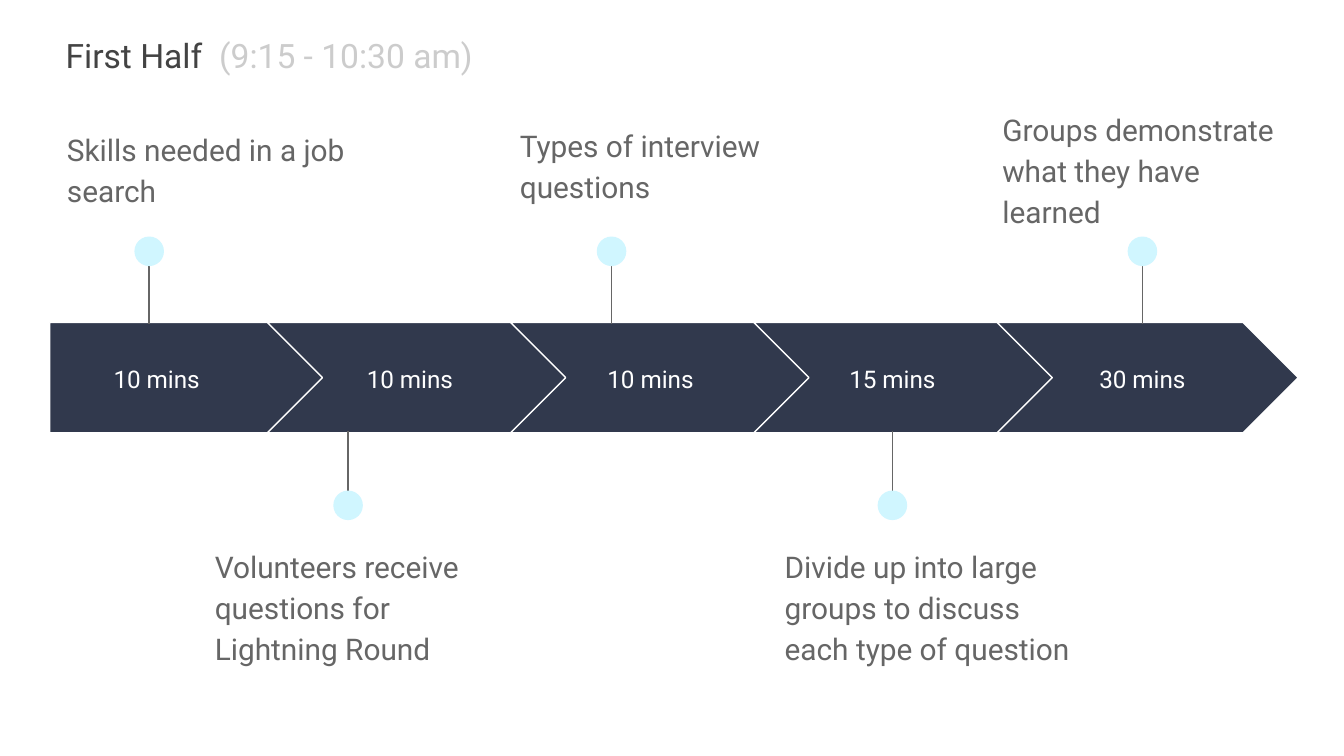
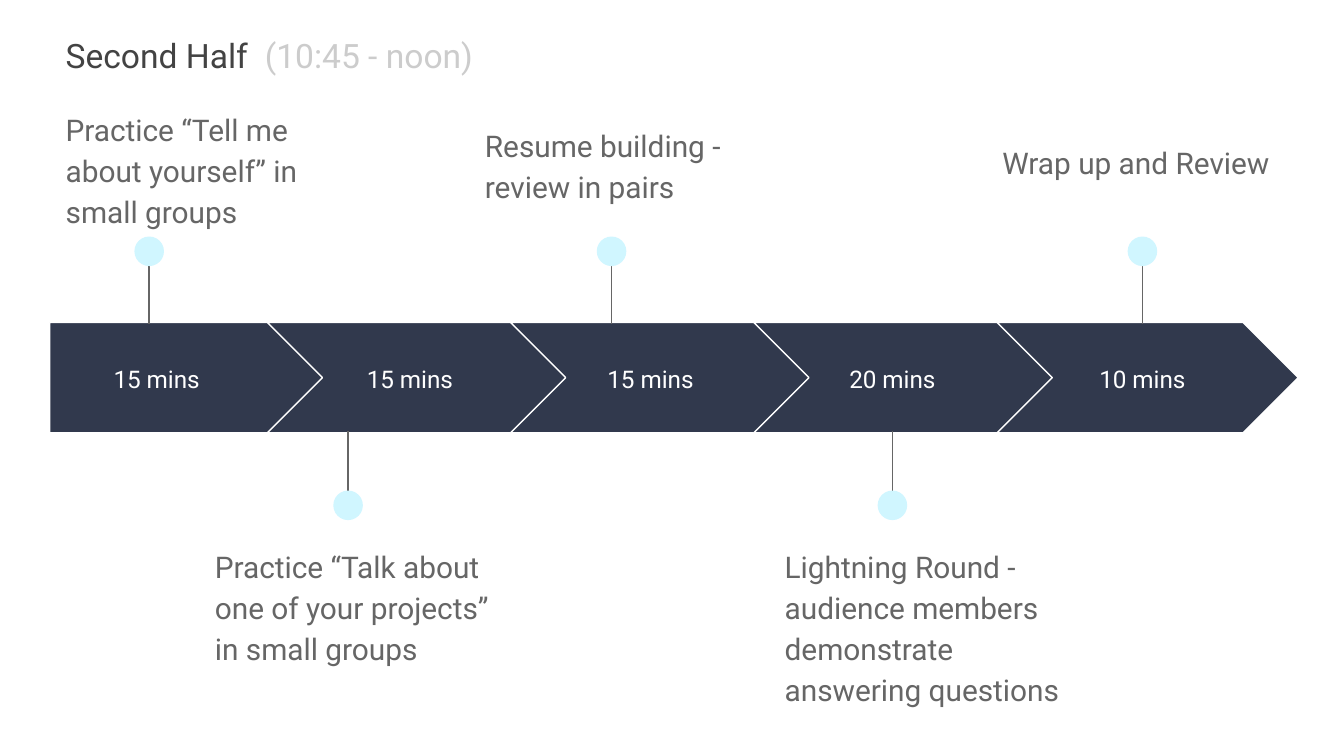
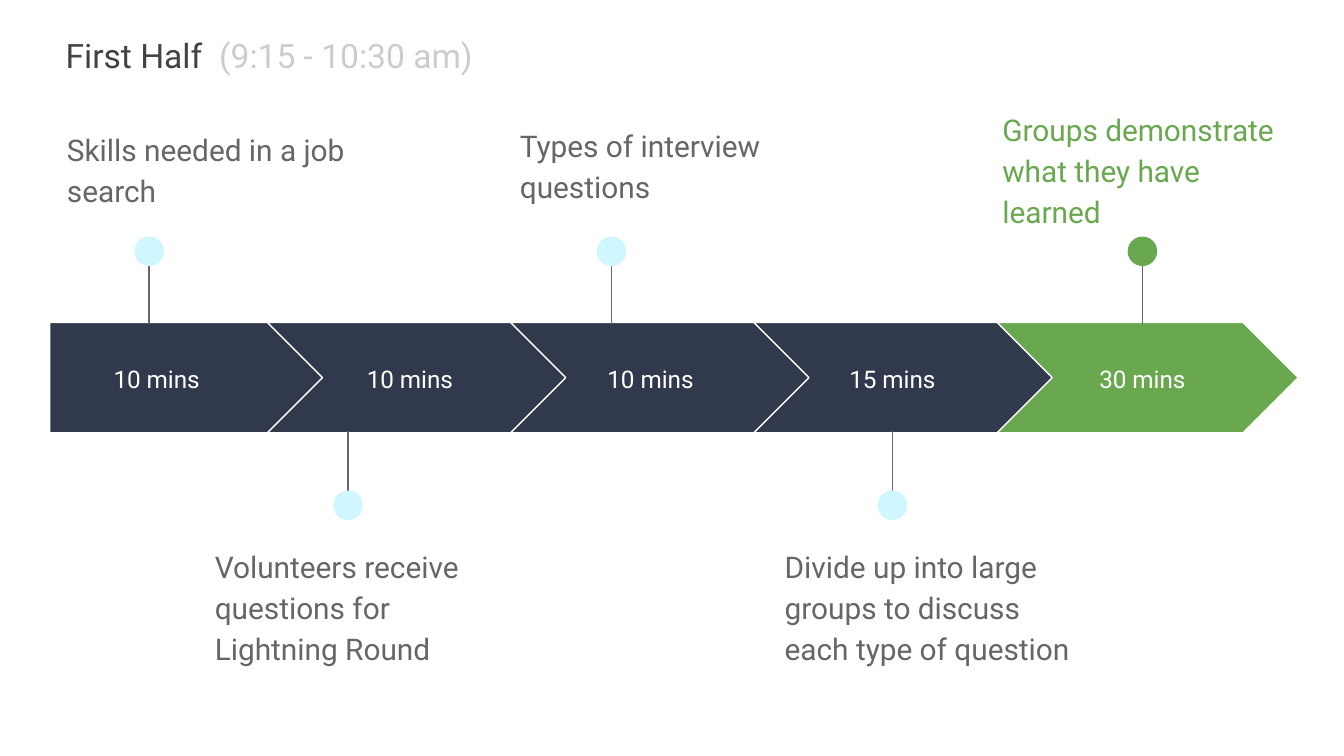
"""Build three timeline slides for the halves of a workshop."""

from lxml import etree
from pptx import Presentation
from pptx.dml.color import RGBColor
from pptx.enum.shapes import MSO_CONNECTOR, MSO_SHAPE
from pptx.enum.text import MSO_ANCHOR, PP_ALIGN
from pptx.oxml.ns import qn
from pptx.util import Inches, Pt

STRAIGHT = MSO_CONNECTOR.STRAIGHT
PENTAGON, CHEVRON, OVAL = MSO_SHAPE.PENTAGON, MSO_SHAPE.CHEVRON, MSO_SHAPE.OVAL
TOP, MIDDLE = MSO_ANCHOR.TOP, MSO_ANCHOR.MIDDLE
CENTER = PP_ALIGN.CENTER

FONT = "Roboto"
COLORS = {
    "navy": "31394D",
    "white": "FFFFFF",
    "gray": "666666",
    "aqua": "D0F6FF",
    "green": "6AA84F",
    "title": "434343",
    "time": "CCCCCC",
}

BAND_TOP, BAND_HEIGHT = 2.4, 0.82
FIRST_LEFT, FIRST_WIDTH = 0.37, 2.05
CHEVRON_LEFT, CHEVRON_WIDTH, CHEVRON_STEP = 1.99, 2.24, 1.81
DURATION_BOXES = [(0.37, 1.59), (2.33, 1.44), (4.12, 1.44), (5.92, 1.44), (7.78, 1.44)]
PIN_CENTERS = [1.11, 2.59, 4.55, 6.64, 8.5]
DOT_SIZE = 0.22
CAPTION_WIDTH, CAPTION_HEIGHT = 2.45, 0.99

FIRST_HALF = {
    "title": "First Half  ",
    "time": "(9:15 - 10:30 am)",
    "title_width": 3.5,
    "steps": [
        ("10 mins", 0.4, 0.84, "Skills needed in a job search"),
        ("10 mins", 1.5, 3.94, "Volunteers receive questions for Lightning Round"),
        ("10 mins", 3.77, 0.81, "Types of interview questions"),
        ("15 mins", 5.74, 3.94, "Divide up into large groups to discuss each type of question"),
        ("30 mins", 7.36, 0.69, "Groups demonstrate what they have learned"),
    ],
}
SECOND_HALF = {
    "title": "Second Half  ",
    "time": "(10:45 - noon)",
    "title_width": 4.22,
    "steps": [
        ("15 mins", 0.39, 0.69, "Practice “Tell me about yourself” in small groups"),
        ("15 mins", 1.5, 3.94, "Practice “Talk about one of your projects” in small groups"),
        ("15 mins", 3.51, 0.81, "Resume building - review in pairs"),
        ("20 mins", 5.74, 3.94,
         "Lightning Round - audience members demonstrate answering questions"),
        ("10 mins", 7.36, 0.94, "Wrap up and Review"),
    ],
}


def rgb(name):
    """Return the named colour."""
    return RGBColor.from_string(COLORS[name])


def format_span(span, size, color):
    """Set the font, size and colour of a run."""
    span.font.name = FONT
    span.font.size = Pt(size)
    span.font.color.rgb = rgb(color)


def add_text(slide, left, top, width, height, text, size, color, anchor=TOP):
    """Add a wrapping text box and return its paragraph."""
    box = slide.shapes.add_textbox(Inches(left), Inches(top), Inches(width), Inches(height))
    frame = box.text_frame
    frame.text = text
    frame.word_wrap = True
    frame.vertical_anchor = anchor
    frame.margin_left = frame.margin_right = Inches(0.1)
    frame.margin_top = frame.margin_bottom = Inches(0.1)
    para = frame.paragraphs[0]
    format_span(para.runs[0], size, color)
    return para


def add_filled_shape(shapes, kind, left, top, width, height, fill):
    """Add a preset shape with a solid fill and no shadow."""
    shape = shapes.add_shape(kind, Inches(left), Inches(top), Inches(width), Inches(height))
    shape.shadow.inherit = False
    shape.fill.solid()
    shape.fill.fore_color.rgb = rgb(fill)
    shape.line.fill.background()
    return shape


def add_arrow(slide, index, fill):
    """Add one arrow of the timeline band."""
    if index == 0:
        kind, left, width = PENTAGON, FIRST_LEFT, FIRST_WIDTH
    else:
        kind, width = CHEVRON, CHEVRON_WIDTH
        left = CHEVRON_LEFT + (index - 1) * CHEVRON_STEP
    arrow = add_filled_shape(slide.shapes, kind, left, BAND_TOP, width, BAND_HEIGHT, fill)
    arrow.line.color.rgb = rgb("white")
    arrow.line.width = Pt(0.75)


def add_duration(slide, index, duration):
    """Add the length of a step on its arrow."""
    left, width = DURATION_BOXES[index]
    para = add_text(slide, left, 2.56, width, 0.51, duration, 13, "white", MIDDLE)
    para.alignment = CENTER


def add_pin(slide, index, fill):
    """Add a grouped line and dot, above the band for even steps and below for odd."""
    center = PIN_CENTERS[index]
    start, end, dot_top = (3.82, 3.21, 3.65) if index % 2 else (1.8, 2.41, 1.76)
    pin = slide.shapes.add_group_shape()
    line = pin.shapes.add_connector(
        STRAIGHT, Inches(center), Inches(start), Inches(center), Inches(end))
    line.line.color.rgb = rgb("gray")
    line.line.width = Pt(0.75)
    etree.SubElement(line._element.spPr, qn("a:effectLst"))
    add_filled_shape(
        pin.shapes, OVAL, center - DOT_SIZE / 2, dot_top, DOT_SIZE, DOT_SIZE, fill)


def add_caption(slide, left, top, caption, color):
    """Add the description of a step."""
    para = add_text(slide, left, top, CAPTION_WIDTH, CAPTION_HEIGHT, caption, 16, color)
    para.line_spacing = 1.15
    para.space_after = Pt(16)


def add_title(slide, half):
    """Add the title with its time in a lighter colour."""
    para = add_text(slide, 0.39, 0.16, half["title_width"], 0.6, half["title"], 18, "title")
    span = para.add_run()
    span.text = half["time"]
    format_span(span, 18, "time")


def add_timeline_slide(deck, half, highlight=None):
    """Add a timeline slide, with the highlighted step in green."""
    slide = deck.slides.add_slide(deck.slide_layouts[6])
    for index, (duration, left, top, caption) in enumerate(half["steps"]):
        chosen = index == highlight
        add_arrow(slide, index, "green" if chosen else "navy")
        add_duration(slide, index, duration)
        add_pin(slide, index, "green" if chosen else "aqua")
        add_caption(slide, left, top, caption, "green" if chosen else "gray")
    add_title(slide, half)


def main():
    """Build and save the deck."""
    deck = Presentation()
    deck.slide_width = Inches(10)
    deck.slide_height = Inches(10) * 9 // 16
    add_timeline_slide(deck, FIRST_HALF)
    add_timeline_slide(deck, SECOND_HALF)
    add_timeline_slide(deck, FIRST_HALF, highlight=4)
    deck.save("out.pptx")


if __name__ == "__main__":
    main()
